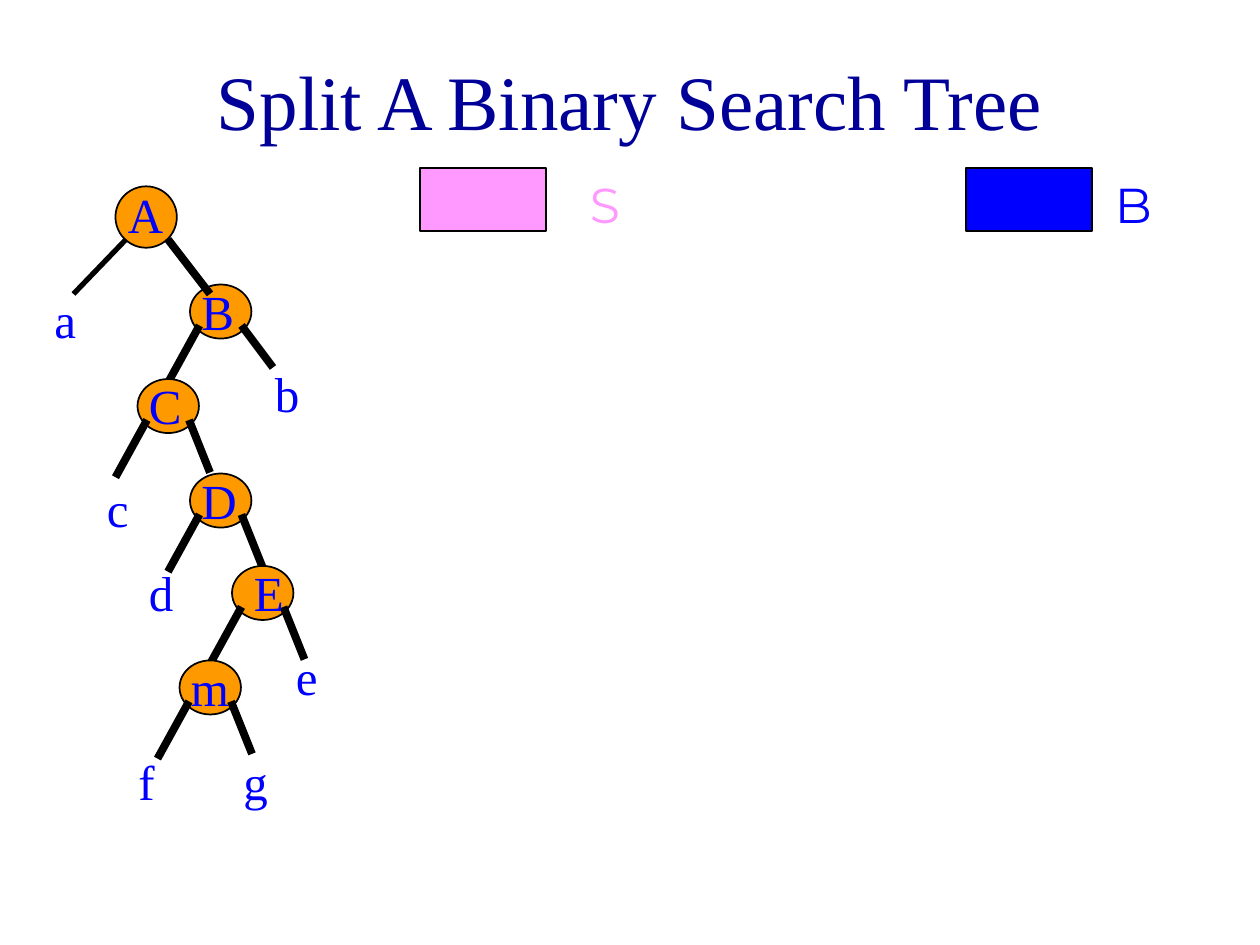
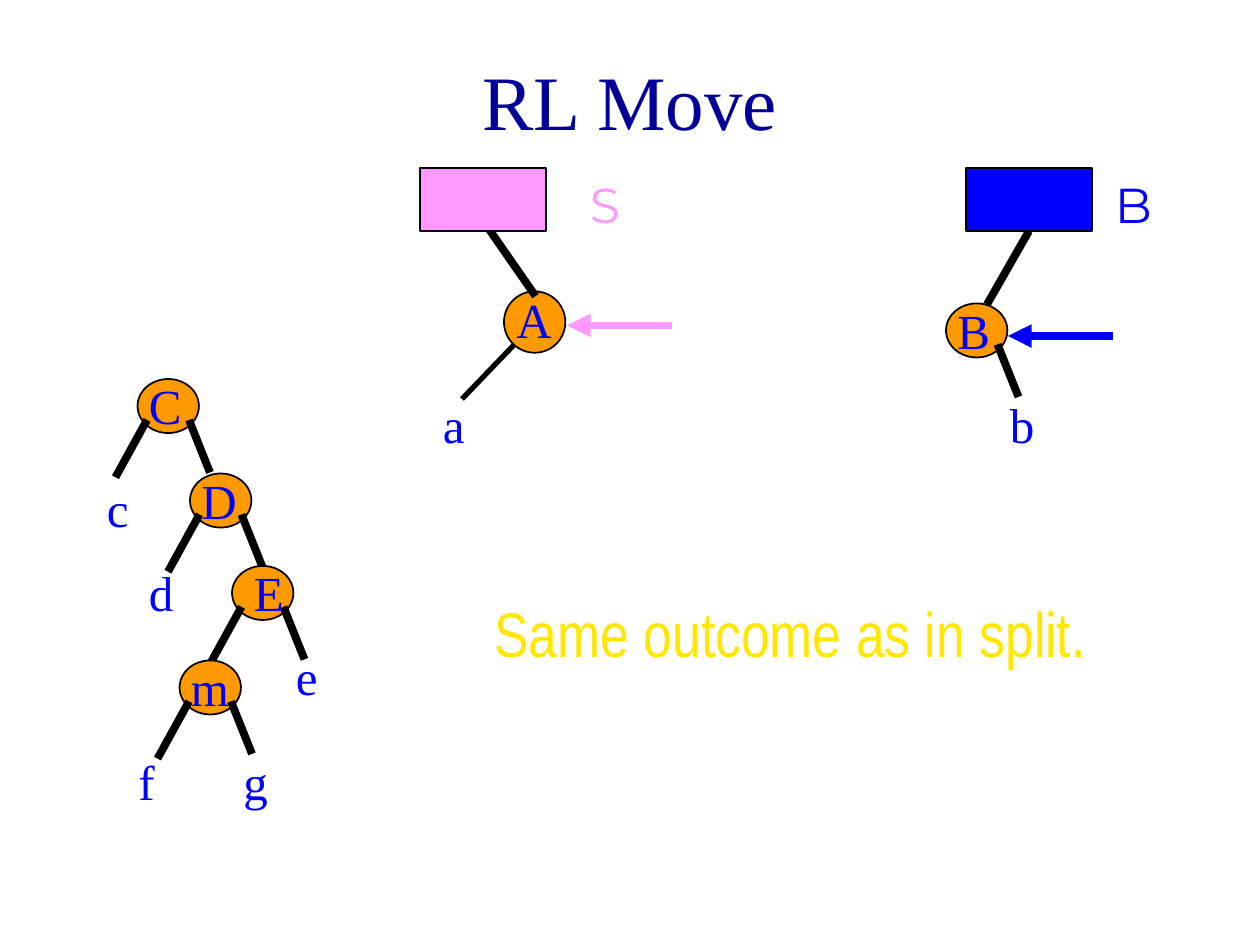
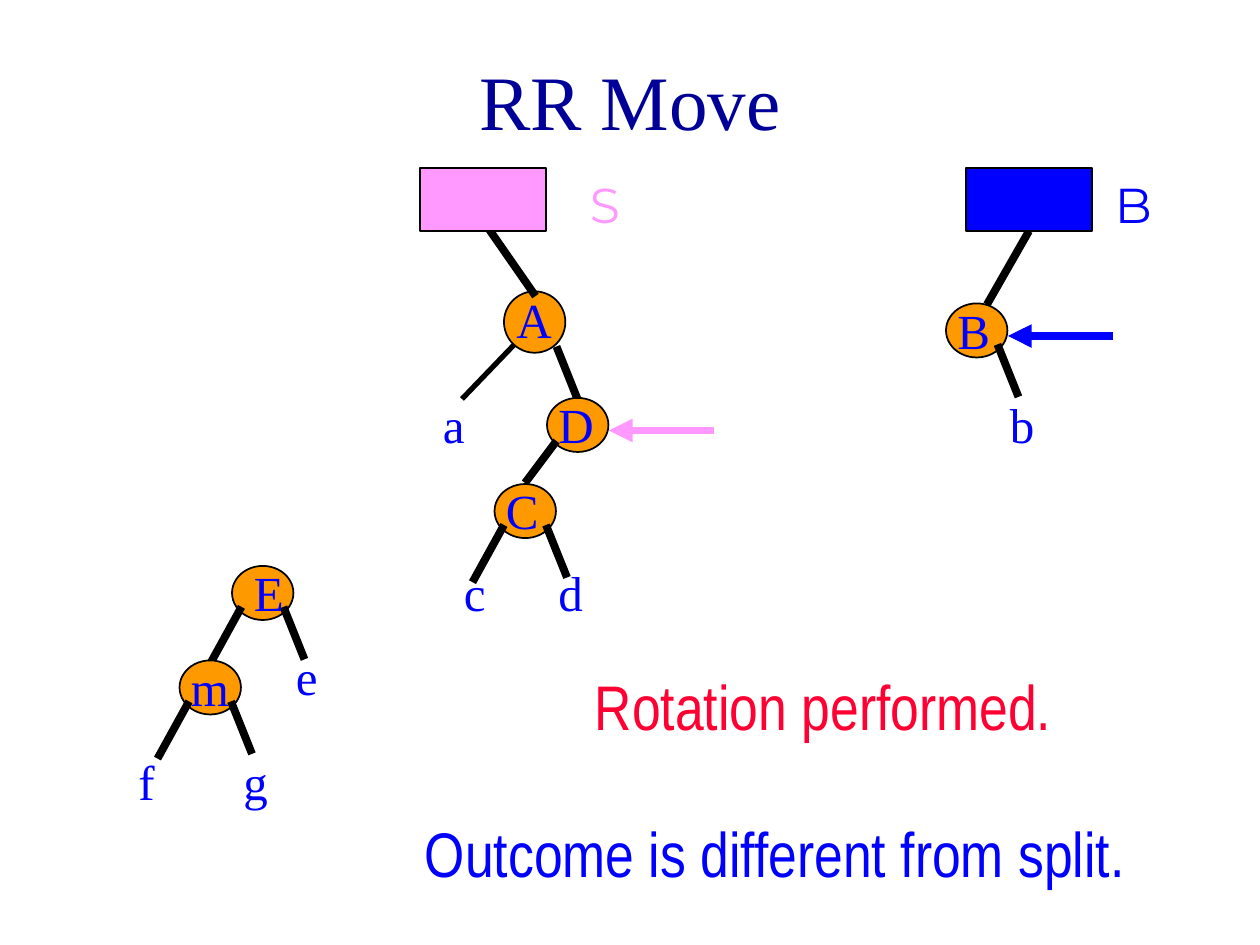
from dataclasses import dataclass

from lxml.etree import SubElement
from pptx import Presentation
from pptx.dml.color import RGBColor
from pptx.enum.shapes import MSO_CONNECTOR, MSO_SHAPE
from pptx.enum.text import MSO_ANCHOR, PP_ALIGN
from pptx.oxml.ns import qn
from pptx.util import Inches, Pt


@dataclass(frozen=True)
class Theme:
    """Colours, fonts and type sizes of the whole deck."""
    title_color: str = "000099"
    label_color: str = "0000FF"
    big: str = "0000FF"
    small: str = "FF99FF"
    node: str = "FF9900"
    ink: str = "000000"
    alert: str = "FF0033"
    glow: tuple = ("FFE701", "FE3E02")
    serif: str = "Times New Roman"
    header_font: str = "Montserrat"
    caption_font: str = "Arial Narrow"
    title_size: int = 44
    label_size: int = 28
    caption_size: int = 36
    label_gap: int = 4
    outline: float = 1
    edge: float = 4.5
    thin_edge: float = 3


# Branches run from a start to an end, as (column, row) offsets from the node
LEFT = ((1, 4.8), (-2, 10.25))
RIGHT = ((5, 4.8), (7, 9.8))
ROOT_LEFT = ((1, 5.8), (-4, 11))


class TreeDeck:
    """Holds the style and the current slide; lengths are grid columns and rows."""
    COLUMNS, ROWS = 120, 90

    def __init__(self, theme):
        self.theme = theme
        self.deck = Presentation()
        self.deck.slide_width, self.deck.slide_height = Inches(10), Inches(7.5)
        self.slide = None

    def place(self, col, row):
        return (round(self.deck.slide_width * col / self.COLUMNS),
                round(self.deck.slide_height * row / self.ROWS))

    def new_slide(self, title):
        self.slide = self.deck.slides.add_slide(self.deck.slide_layouts[5])
        heading = self.slide.shapes.title
        heading.left, heading.top = self.place(9, 2)
        heading.width, heading.height = self.place(102, 15)
        heading.text_frame.text = title
        heading.text_frame.vertical_anchor = MSO_ANCHOR.MIDDLE
        heading.text_frame.paragraphs[0].alignment = PP_ALIGN.CENTER
        self.style(heading, self.theme.serif, self.theme.title_size, self.theme.title_color)

    def style(self, box, face, size, color):
        font = box.text_frame.paragraphs[0].runs[0].font
        font.name, font.size = face, Pt(size)
        if isinstance(color, str):
            font.color.rgb = RGBColor.from_string(color)
            return
        font.fill.gradient()
        font.fill.gradient_angle = 270
        for stop, shade in zip(font.fill.gradient_stops, color):
            stop.color.rgb = RGBColor.from_string(shade)

    def text(self, words, col, row, width, height, face, size, color):
        box = self.slide.shapes.add_textbox(*self.place(col, row), *self.place(width, height))
        box.text_frame.text = words
        box.text_frame.word_wrap = True
        self.style(box, face, size, color)
        return box

    def label(self, words, col, row, width=6, face=None, color=None):
        box = self.text(words, col, row, width, 6.8, face or self.theme.serif,
                        self.theme.label_size, color or self.theme.label_color)
        box.text_frame.paragraphs[0].space_before = Pt(self.theme.label_gap)

    def caption(self, words, col, row, width, color, height=7.5):
        box = self.text(words, col, row, width, height, self.theme.caption_font,
                        self.theme.caption_size, color)
        box.text_frame.word_wrap = False
        box.text_frame.paragraphs[0].alignment = PP_ALIGN.CENTER

    def shape(self, preset, col, row, width, height, color):
        part = self.slide.shapes.add_shape(preset, *self.place(col, row),
                                           *self.place(width, height))
        part.shadow.inherit = False
        part.fill.solid()
        part.fill.fore_color.rgb = RGBColor.from_string(color)
        part.line.color.rgb = RGBColor.from_string(self.theme.ink)
        part.line.width = Pt(self.theme.outline)

    def edge(self, start, end, color=None, width=None, arrow=False):
        link = self.slide.shapes.add_connector(
            MSO_CONNECTOR.STRAIGHT, *self.place(*start), *self.place(*end))
        link.line.color.rgb = RGBColor.from_string(color or self.theme.ink)
        link.line.width = Pt(width or self.theme.edge)
        properties = link._element.spPr
        if arrow:
            SubElement(properties.find(qn("a:ln")), qn("a:tailEnd"), type="triangle")
        SubElement(properties, qn("a:effectLst"))

    def pointer(self, col, row, color):
        self.edge((col + 10, row), (col, row), color, arrow=True)

    def node(self, name, col, row, branches=(LEFT, RIGHT), shift=0, round_node=False):
        if round_node:
            self.shape(MSO_SHAPE.OVAL, col, row + 0.75, 5.85, 5.85, self.theme.node)
        else:
            self.shape(MSO_SHAPE.OVAL, col + 0.1, row + 0.9, 5.85, 5.15, self.theme.node)
        for branch in branches:
            start, end = ((col + dx, row + dy) for dx, dy in branch)
            self.edge(start, end,
                      width=self.theme.thin_edge if branch == ROOT_LEFT else None)
        self.label(name, col + shift, row)

    def leaves(self, **spots):
        for name, spot in spots.items():
            self.label(name, *spot)

    # Parts that several slides share
    def headers(self):
        for name, col, gap, color in (("B", 92, 13, self.theme.big),
                                      ("S", 40, 15, self.theme.small)):
            self.shape(MSO_SHAPE.RECTANGLE, col, 16, 12, 6, color)
            self.label(name, col + gap, 16, 11, self.theme.header_font, color)

    def lower_subtree(self):
        self.node("E", 22, 53, shift=1)
        self.node("m", 17, 62)
        self.leaves(e=(27, 61), f=(12, 71), g=(22, 71))

    def middle_subtree(self):
        self.node("C", 13, 35.2)
        self.node("D", 18, 44.2)
        self.leaves(c=(9, 45), d=(13, 53))
        self.lower_subtree()

    def split_roots(self, small_branches=(ROOT_LEFT,)):
        self.node("A", 48, 27, small_branches, round_node=True)
        self.node("B", 90, 28, (RIGHT,))
        self.leaves(a=(41, 37), b=(95, 37))
        self.edge((46, 21), (51, 28.2))
        self.edge((98, 22), (94, 29))
        self.pointer(96, 32, self.theme.big)


theme = Theme()
tree = TreeDeck(theme)

# Slide 1: the whole tree before the split
tree.new_slide("Split A Binary Search Tree")
tree.node("B", 18, 26.2, (LEFT, ((5, 4.8), (8, 8.8))))
tree.node("A", 11, 17, (ROOT_LEFT, ((5, 5.8), (9, 11))), round_node=True)
tree.leaves(a=(4, 27), b=(25, 34))
tree.middle_subtree()
tree.headers()

# Slide 2: A goes to S and B goes to B
tree.new_slide("RL Move")
tree.split_roots()
tree.pointer(54, 31, theme.small)
tree.middle_subtree()
tree.caption("Same outcome as in split.", 44, 56, 62.5, theme.glow, 11.5)
tree.headers()

# Slide 3: C and D are rotated and hung below A
tree.new_slide("RR Move")
tree.split_roots((ROOT_LEFT, ((5, 6), (7, 11))))
tree.pointer(58, 41, theme.small)
tree.node("D", 52, 37, (((1, 5), (-2, 9)),))
tree.node("C", 47, 45.2)
tree.leaves(c=(43, 53), d=(52, 53))
tree.lower_subtree()
tree.caption("Rotation performed.", 54, 63, 48.8, theme.alert)
tree.caption("Outcome is different from split.", 36, 77, 75.6, theme.label_color)
tree.headers()

tree.deck.save("out.pptx")
